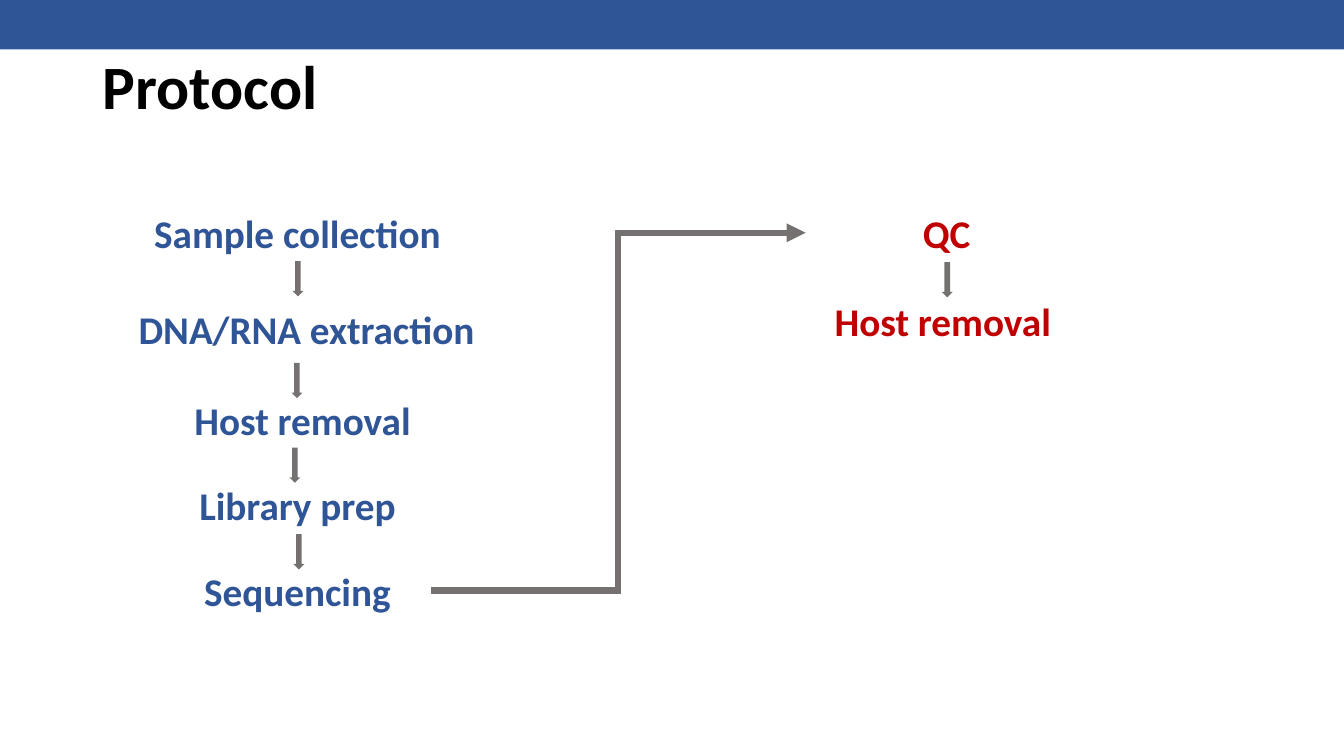
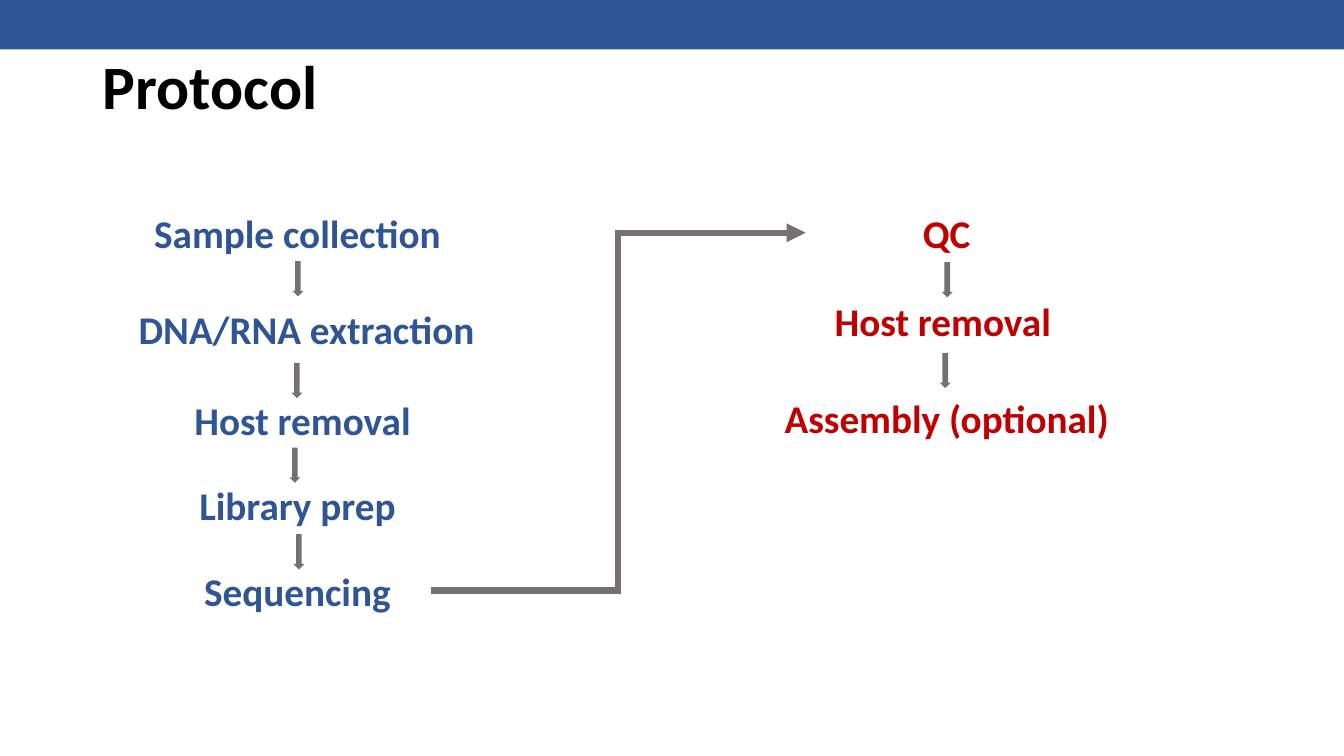
import lxml.etree
import pptx
import pptx.dml.color
import pptx.enum.shapes
import pptx.enum.text
import pptx.oxml.ns
import pptx.util

Inches = pptx.util.Inches
SHAPE = pptx.enum.shapes.MSO_SHAPE
ALIGN = pptx.enum.text.PP_ALIGN
ANCHOR = pptx.enum.text.MSO_ANCHOR
AUTO = pptx.enum.text.MSO_AUTO_SIZE

BLUE, RED, GRAY, BLACK = "2F5597", "C00000", "767171", "000000"
WIDTH, HEIGHT, BAND_H = 13.33, 7.5, 0.49
LABEL_W, LABEL_H = 4.06, 0.57
ARROW_W, ARROW_H = 0.11, 0.35

TITLE = {"size": 44, "color": BLACK,
         "frame": {"vertical_anchor": ANCHOR.MIDDLE},
         "para": {"line_spacing": 0.9}}
LABEL = {"size": 28,
         "frame": {"auto_size": AUTO.SHAPE_TO_FIT_TEXT},
         "para": {"alignment": ALIGN.CENTER}}

LAB_STEPS = [
    ("Sample collection", 0.92, 2.03),
    ("DNA/RNA extraction", 1.01, 2.98),
    ("Host removal", 0.97, 3.88),
    ("Library prep", 0.92, 4.73),
    ("Sequencing", 0.92, 5.58),
]
LAB_ARROWS = [(2.9, 2.59), (2.89, 3.6), (2.87, 4.44), (2.91, 5.3)]
ANALYSIS_STEPS = [
    ("QC", 7.36, 2.03),
    ("Host removal", 7.32, 2.9),
    ("Assembly (optional)", 7.36, 3.86),
]
ANALYSIS_ARROWS = [(9.34, 2.6), (9.32, 3.5)]


def rgb(value):
    return pptx.dml.color.RGBColor.from_string(value)


def apply(target, values):
    for name, value in values.items():
        setattr(target, name, value)


def add_text(s, text, x, y, w, h, style):
    tf = s.shapes.add_textbox(*map(Inches, (x, y, w, h))).text_frame
    apply(tf, {"word_wrap": True, **style["frame"]})
    p = tf.paragraphs[0]
    apply(p, style["para"])
    r = p.add_run()
    r.text = text
    apply(r.font, {"name": "Calibri", "bold": True,
                   "size": pptx.util.Pt(style["size"])})
    r.font.color.rgb = rgb(style["color"])


def add_filled(s, kind, x, y, w, h, color):
    sp = s.shapes.add_shape(kind, *map(Inches, (x, y, w, h)))
    sp.shadow.inherit = False
    sp.fill.solid()
    sp.fill.fore_color.rgb = rgb(color)
    sp.line.fill.background()


def add_elbow_arrow(s, x1, y1, x2, y2):
    qn = pptx.oxml.ns.qn
    cn = s.shapes.add_connector(pptx.enum.shapes.MSO_CONNECTOR.ELBOW,
                                *map(Inches, (x1, y1, x2, y2)))
    cn.line.color.rgb = rgb(GRAY)
    cn.line.width = pptx.util.Pt(4.5)
    ln = cn.line._get_or_add_ln()
    lxml.etree.SubElement(ln, qn("a:miter"), lim="800000")
    lxml.etree.SubElement(ln, qn("a:tailEnd"), type="triangle")
    lxml.etree.SubElement(cn._element.spPr, qn("a:effectLst"))


def add_flow(s, steps, arrows, color):
    for text, x, y in steps:
        add_text(s, text, x, y, LABEL_W, LABEL_H, {**LABEL, "color": color})
    for x, y in arrows:
        add_filled(s, SHAPE.DOWN_ARROW, x, y, ARROW_W, ARROW_H, GRAY)


def add_protocol_slide(prs, analysis_count):
    s = prs.slides.add_slide(prs.slide_layouts[6])
    add_filled(s, SHAPE.RECTANGLE, 0, 0, WIDTH, BAND_H, BLUE)
    add_text(s, "Protocol", 0.92, BAND_H, 11.5, 0.8, TITLE)
    add_flow(s, LAB_STEPS, LAB_ARROWS, BLUE)
    add_flow(s, ANALYSIS_STEPS[:analysis_count],
             ANALYSIS_ARROWS[:analysis_count - 1], RED)
    add_elbow_arrow(s, 4.27, 5.86, 7.99, 2.31)


def main():
    prs = pptx.Presentation()
    apply(prs, {"slide_width": Inches(WIDTH), "slide_height": Inches(HEIGHT)})
    for analysis_count in (2, 3):
        add_protocol_slide(prs, analysis_count)
    prs.save("out.pptx")


if __name__ == "__main__":
    main()
